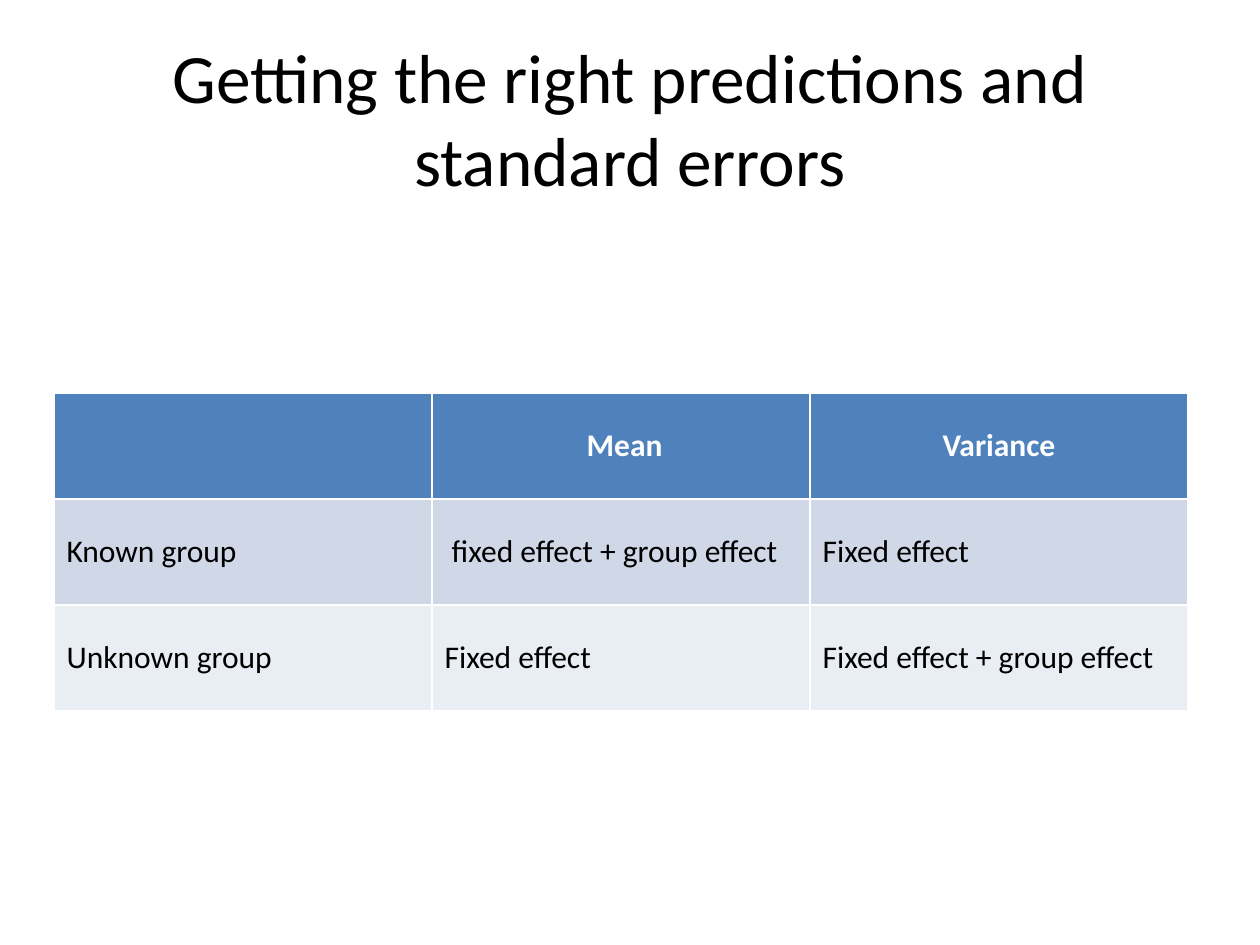
"""Builds a slide with a title and a table of means and variances by group."""
import pptx
import pptx.dml.color
import pptx.enum.text
import pptx.util

TITLE = "Getting the right predictions and standard errors"
ROWS = [
    ("", " Mean", "Variance"),
    ("Known group", " fixed effect + group effect", "Fixed effect"),
    ("Unknown group", "Fixed effect", "Fixed effect + group effect"),
]
THEME = {
    "font": "Calibri",
    "title_size": 39.6,
    "cell_size": 18,
    "text": "000000",
    "header_text": "FFFFFF",
    "row_fills": ("4F81BD", "D0D8E8", "E9EDF4"),
}
PAGE_SIZE = (1260, 945)
TITLE_AREA = (63, 38, 1134, 158)
TABLE_LEFT, TABLE_TOP = 54, 393
COLUMN_WIDTH, ROW_HEIGHT = 378, 106
ALIGN = pptx.enum.text.PP_ALIGN
MIDDLE = pptx.enum.text.MSO_ANCHOR.MIDDLE


def px(length):
    return pptx.util.Emu(round(length * 914400 / 126))


def rgb(value):
    return pptx.dml.color.RGBColor.from_string(value)


def write(frame, text, size, color, align, bold=False):
    frame.text = text
    para = frame.paragraphs[0]
    para.alignment = align
    for span in para.runs:
        span.font.name = THEME["font"]
        span.font.size = pptx.util.Pt(size)
        span.font.bold = bold
        span.font.color.rgb = rgb(color)


def add_title(page):
    frame = page.shapes.add_textbox(*map(px, TITLE_AREA)).text_frame
    frame.word_wrap = True
    frame.vertical_anchor = MIDDLE
    write(frame, TITLE, THEME["title_size"], THEME["text"], ALIGN.CENTER)


def add_group_table(page):
    row_count, column_count = len(ROWS), len(ROWS[0])
    table = page.shapes.add_table(
        row_count, column_count, px(TABLE_LEFT), px(TABLE_TOP),
        px(COLUMN_WIDTH * column_count), px(ROW_HEIGHT * row_count),
    ).table
    for row_index, (texts, fill) in enumerate(zip(ROWS, THEME["row_fills"])):
        header = row_index == 0
        color = THEME["header_text" if header else "text"]
        align = ALIGN.CENTER if header else ALIGN.LEFT
        for column_index, text in enumerate(texts):
            cell = table.cell(row_index, column_index)
            cell.fill.solid()
            cell.fill.fore_color.rgb = rgb(fill)
            cell.vertical_anchor = MIDDLE
            write(cell.text_frame, text, THEME["cell_size"], color, align, header)


def main():
    deck = pptx.Presentation()
    deck.slide_width, deck.slide_height = map(px, PAGE_SIZE)
    page = deck.slides.add_slide(deck.slide_layouts[6])
    add_title(page)
    add_group_table(page)
    deck.save("out.pptx")


if __name__ == "__main__":
    main()
